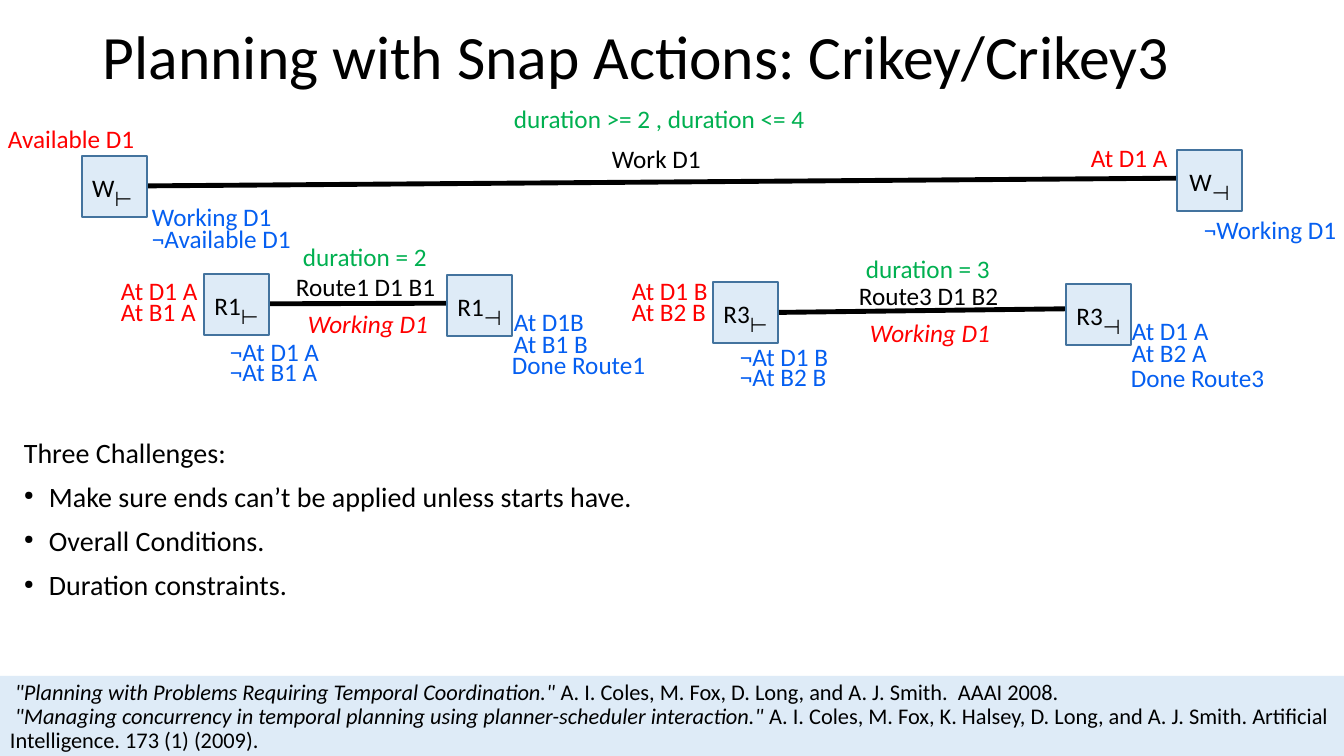
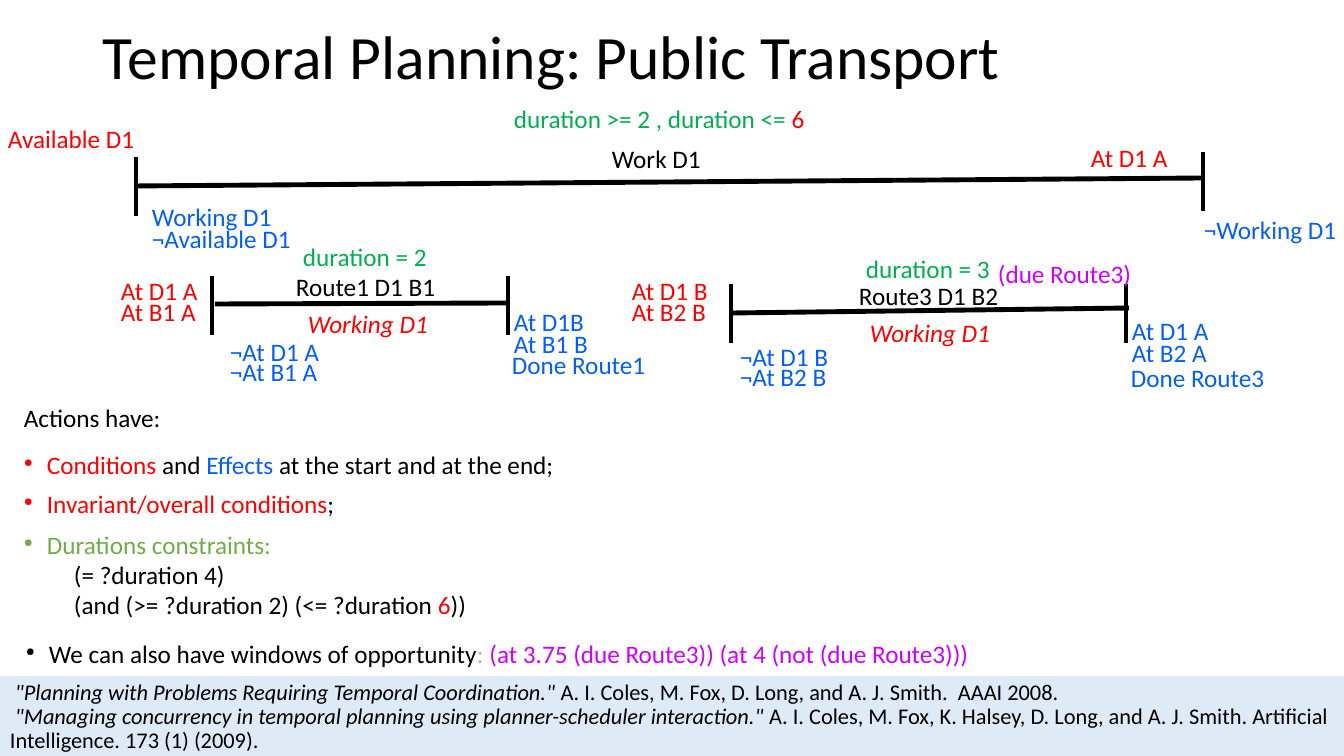
from lxml import etree
from pptx import Presentation
from pptx.dml.color import RGBColor
from pptx.enum import shapes, text
from pptx.oxml import ns
from pptx.util import Emu, Pt

SCALE = 914400 / 100.8
WIDTH, HEIGHT = 1344, 756
FONT = "Calibri"
BLACK, RED, BLUE, GREEN = "000000", "FF0000", "055FF1", "00B050"
LEAF, PURPLE, LILAC = "70AD47", "CC00FF", "CC99FF"
PALE, EDGE = "DEEBF7", "43739E"
ITALIC = {"italic": True}
TIGHT = {"line_spacing": 0.9}
SPACED = {"line_spacing": 0.9, "space_before": Pt(10)}

TITLES = ["Planning with Snap Actions: Crikey/Crikey3", "Temporal Planning: Public Transport"]
TITLE_AREA = (93, -13, 1159, 146)
FOOTER_AREA = (0, 676, WIDTH, HEIGHT - 676)
REFERENCES = [
    [(' "Planning with Problems Requiring Temporal Coordination."', BLACK, ITALIC),
     (" A. I. Coles, M. Fox, D. Long, and A. J. Smith.  AAAI 2008.", BLACK)],
    [(' "Managing concurrency in temporal planning using planner-scheduler interaction." ', BLACK, ITALIC),
     ("A. I. Coles, M. Fox, K. Halsey, D. Long, and A. J. Smith. "
      "Artificial Intelligence. 173 (1) (2009).", BLACK)],
]

LABEL_HEIGHT = 40
LABELS = [
    ("Work D1", BLACK, 602, 138, 110),
    ("Route1 D1 B1", BLACK, 286, 266, 161),
    ("Route3 D1 B2", BLACK, 849, 275, 161),
    ("Available D1", RED, -2, 118, 148),
    ("At D1 A", RED, 1081, 137, 98),
    ("At D1 A", RED, 111, 270, 98),
    ("At B1 A", RED, 111, 291, 96),
    ("At D1 B", RED, 622, 270, 97),
    ("At B2 B", RED, 622, 291, 95),
    ("Working D1", BLUE, 142, 196, 141),
    ("¬Available D1", BLUE, 142, 218, 161),
    ("¬Working D1", BLUE, 1194, 209, 154),
    ("¬At D1 A", BLUE, 220, 331, 111),
    ("¬At B1 A", BLUE, 220, 351, 109),
    ("At D1B", BLUE, 504, 301, 91),
    ("At B1 B", BLUE, 504, 323, 96),
    ("Done Route1", BLUE, 502, 344, 155),
    ("¬At D1 B", BLUE, 730, 336, 110),
    ("¬At B2 B", BLUE, 730, 356, 109),
    ("At D1 A", BLUE, 1122, 310, 97),
    ("At B2 A", BLUE, 1122, 332, 96),
    ("Done Route3", BLUE, 1121, 357, 155),
    ("duration = 2", GREEN, 293, 236, 146),
    ("duration = 3", GREEN, 856, 248, 146),
]
INVARIANTS = [("Working D1", RED, 298, 303, 141), ("Working D1", RED, 860, 312, 141)]
DUE = ("(due Route3)", PURPLE, 988, 253, 161)
WORK_DURATION_AREA = (504, 98, 316, LABEL_HEIGHT)
WORK_LIMITS = [("4", GREEN), ("6", RED)]

BARS = [(136, 186, 1203, 178), (215, 304, 507, 303), (732, 313, 1129, 308)]
POST_HEIGHT = 59
POSTS = [(136, 157), (1203, 152), (212, 276), (508, 276), (731, 284), (1126, 284)]
SNAP_SIZE = (65, 61)
SNAP_START = [("⊢ ", BLACK, {"size": Pt(25), "baseline": -25000})]
SNAP_END = [("⊣", BLACK, {"size": Pt(25), "baseline": -25000}), (" ", BLACK)]
SNAPS = [
    ("W", SNAP_START, 82, 156), ("W", SNAP_END, 1177, 150),
    ("R1", SNAP_START, 204, 274), ("R1", SNAP_END, 447, 275),
    ("R3", SNAP_START, 713, 282), ("R3", SNAP_END, 1066, 284),
]

CHALLENGES_AREA = (14, 434, 1238, 229)
CHALLENGES = [
    "Make sure ends can’t be applied unless starts have.",
    "Overall Conditions.",
    "Duration constraints.",
]
BULLET = {"bullet": 23}
NESTED = {"indent": 50}
ACTION_NOTES = [
    ((14, 401, 1238, 35), [([("Actions have:", BLACK)], SPACED)]),
    ((14, 444, 558, 40), [([
        ("Conditions ", RED), ("and ", BLACK), ("Effects", BLUE),
        (" at the start and at the end;", BLACK)], BULLET)]),
    ((14, 483, 341, 40), [([("Invariant/overall conditions", RED), (";", BLACK)], BULLET)]),
    ((14, 524, 672, 102), [
        ([("Durations constraints:", LEAF)], BULLET),
        ([("(= ?duration 4)", BLACK)], NESTED),
        ([("(and (>= ?duration 2) (<= ?duration ", BLACK), ("6", RED), ("))", BLACK)], NESTED)]),
    ((16, 633, 972, 40), [([
        ("We can also have windows of opportunity", BLACK), (": ", LILAC),
        ("(at 3.75 (due Route3)) (at 4 (not (due Route3)))", PURPLE)], BULLET)]),
]


def px(length):
    return Emu(round(length * SCALE))


def area(values):
    return [px(value) for value in values]


def colour(code):
    return RGBColor.from_string(code)


def set_all(target, values):
    for name, value in values.items():
        setattr(target, name, value)


def indent(para, left, bullet):
    properties = para._p.get_or_add_pPr()
    properties.set("marL", str(px(left)))
    properties.set("indent", str(-px(left) if bullet else 0))
    if bullet:
        etree.SubElement(properties, ns.qn("a:buSzPct"), val="45000")
        etree.SubElement(properties, ns.qn("a:buChar"), char="●")


def write(frame, paragraphs, size=18, align=text.PP_ALIGN.LEFT):
    for index, (spans, layout) in enumerate(paragraphs):
        para = frame.add_paragraph() if index else frame.paragraphs[0]
        layout = dict(layout)
        bullet, left = layout.pop("bullet", 0), layout.pop("indent", 0)
        set_all(para, {"alignment": align, **layout})
        if bullet or left:
            indent(para, bullet or left, bool(bullet))
        for words, code, *extra in spans:
            span = para.add_run()
            span.text = words
            style = {"name": FONT, "size": Pt(size), **(extra[0] if extra else {})}
            baseline = style.pop("baseline", None)
            set_all(span.font, style)
            span.font.color.rgb = colour(code)
            if baseline:
                span._r.get_or_add_rPr().set("baseline", str(baseline))


def add_text(page, place, paragraphs, size=18, **frame_style):
    box = page.shapes.add_textbox(*area(place))
    set_all(box.text_frame, {"word_wrap": True, **frame_style})
    write(box.text_frame, paragraphs, size)


def add_label(page, place, spans):
    add_text(page, place, [(spans, {})], word_wrap=False,
             auto_size=text.MSO_AUTO_SIZE.SHAPE_TO_FIT_TEXT)


def add_panel(page, place, edge=None):
    panel = page.shapes.add_shape(shapes.MSO_SHAPE.RECTANGLE, *area(place))
    panel.shadow.inherit = False
    panel.fill.solid()
    panel.fill.fore_color.rgb = colour(PALE)
    if edge:
        panel.line.color.rgb = colour(edge)
        panel.line.width = Pt(1)
    else:
        panel.line.fill.background()
    return panel.text_frame


def add_line(page, ends):
    line = page.shapes.add_connector(shapes.MSO_CONNECTOR.STRAIGHT, *area(ends))
    line.line.color.rgb = colour(BLACK)
    line.line.width = Pt(3.5)
    etree.SubElement(line._element.spPr, ns.qn("a:effectLst"))


def add_timeline(deck, title, limit):
    page = deck.slides.add_slide(deck.slide_layouts[6])
    add_text(page, TITLE_AREA, [([(title, BLACK)], TIGHT)], 44,
             vertical_anchor=text.MSO_ANCHOR.MIDDLE)
    footer = add_panel(page, FOOTER_AREA)
    footer.vertical_anchor = text.MSO_ANCHOR.TOP
    write(footer, [(spans, TIGHT) for spans in REFERENCES], 16)
    for ends in BARS:
        add_line(page, ends)
    for words, code, left, top, width in LABELS:
        add_label(page, (left, top, width, LABEL_HEIGHT), [(words, code)])
    for words, code, left, top, width in INVARIANTS:
        add_label(page, (left, top, width, LABEL_HEIGHT), [(words, code, ITALIC)])
    add_label(page, WORK_DURATION_AREA, [("duration >= 2 , duration <= ", GREEN), limit])
    return page


deck = Presentation()
deck.slide_width, deck.slide_height = px(WIDTH), px(HEIGHT)
snap_page, transport_page = [add_timeline(deck, *parts) for parts in zip(TITLES, WORK_LIMITS)]

for name, mark, left, top in SNAPS:
    frame = add_panel(snap_page, (left, top, *SNAP_SIZE), EDGE)
    write(frame, [([(name, BLACK)] + mark, {})], align=text.PP_ALIGN.CENTER)
challenges = [([(words, BLACK)], {**SPACED, "bullet": 25}) for words in CHALLENGES]
add_text(snap_page, CHALLENGES_AREA, [([("Three Challenges:", BLACK)], SPACED)] + challenges, 20)

for x, top in POSTS:
    add_line(transport_page, (x, top, x, top + POST_HEIGHT))
for place, paragraphs in ACTION_NOTES:
    add_text(transport_page, place, paragraphs)
words, code, left, top, width = DUE
add_label(transport_page, (left, top, width, LABEL_HEIGHT), [(words, code)])

deck.save("out.pptx")
